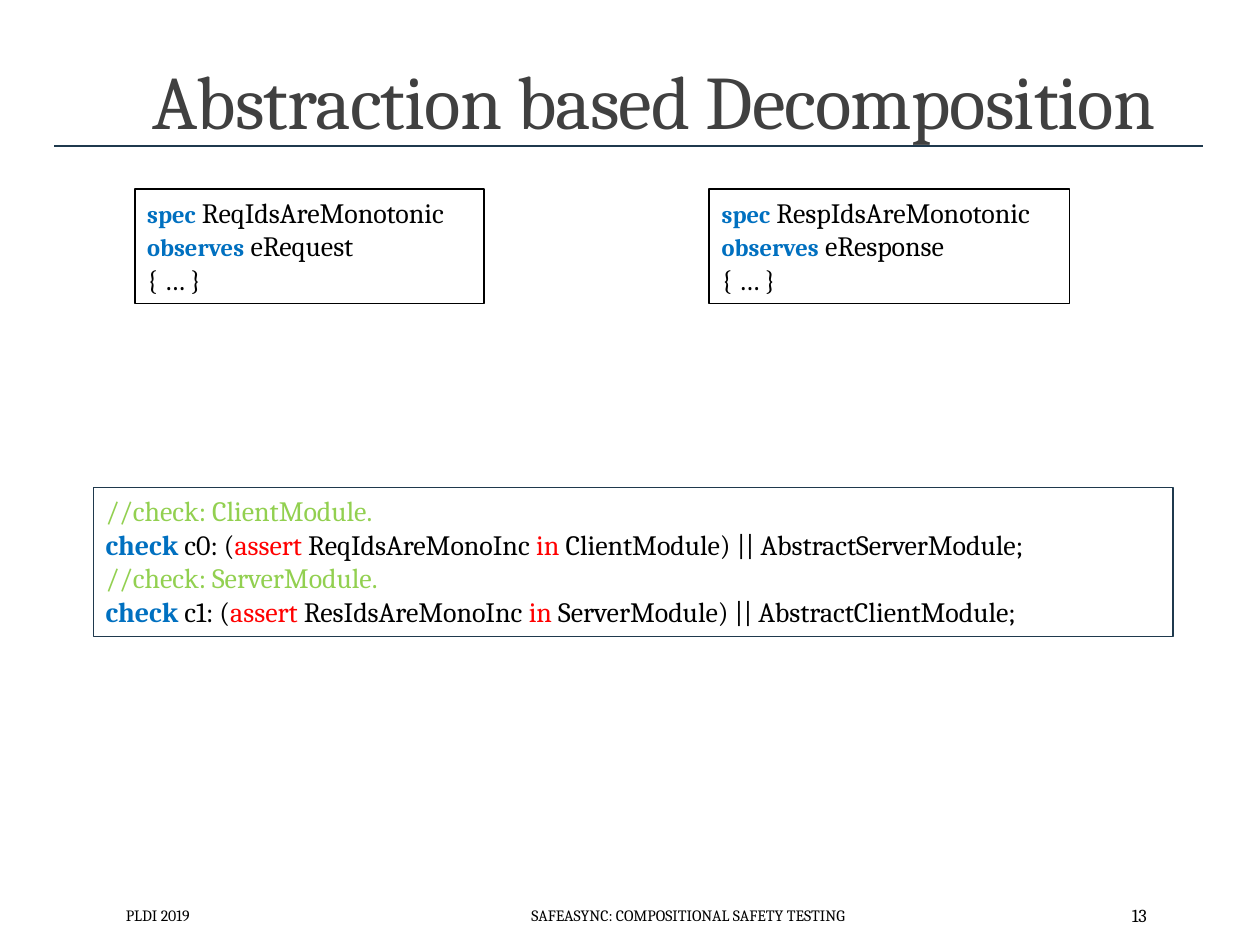
import pptx
import pptx.util
import pptx.dml.color
import pptx.enum.shapes
import pptx.enum.text
import lxml.etree

deck = pptx.Presentation()
deck.slide_width = pptx.util.Inches(10)
deck.slide_height = pptx.util.Inches(7.5)
slide = deck.slides.add_slide(deck.slide_layouts[6])

# One percent of the slide's width and height
COL = deck.slide_width / 100
ROW = deck.slide_height / 100

INK, NAVY, GREY = "000000", "1F394D", "404040"
BLUE, RED, GREEN = "0070C0", "FF0000", "92D050"
ALIGN = pptx.enum.text.PP_ALIGN
ANCHOR = pptx.enum.text.MSO_ANCHOR


def rgb(code):
    return pptx.dml.color.RGBColor.from_string(code)


def text(lines, at, size=16, align=ALIGN.LEFT, anchor=ANCHOR.MIDDLE,
         space=1, track=0, edge=None, width=1):
    """Each line is a list of runs: (words, colour, bold, size), the last two optional."""
    x, y, w, h = at
    place = [int(n) for n in (x * COL, y * ROW, w * COL, h * ROW)]
    if edge:
        box = slide.shapes.add_shape(pptx.enum.shapes.MSO_SHAPE.RECTANGLE, *place)
        box.shadow.inherit = False
        box.fill.background()
        box.line.color.rgb = rgb(edge)
        box.line.width = pptx.util.Pt(width)
    else:
        box = slide.shapes.add_textbox(*place)
    frame = box.text_frame
    frame.word_wrap = True
    frame.vertical_anchor = anchor
    for i, line in enumerate(lines):
        para = frame.paragraphs[0] if i == 0 else frame.add_paragraph()
        para.alignment = align
        para.line_spacing = space
        for words, ink, *rest in line:
            run = para.add_run()
            run.text = words
            font = run.font
            font.name = "Cambria"
            font.color.rgb = rgb(ink)
            font.bold = bool(rest and rest[0])
            font.size = pptx.util.Pt(rest[1] if len(rest) > 1 else size)
            if track:
                run._r.get_or_add_rPr().set("spc", str(int(track * 100)))


# Title and the rule under it
rule = slide.shapes.add_connector(
    pptx.enum.shapes.MSO_CONNECTOR.STRAIGHT,
    int(4.3 * COL), int(15.47 * ROW), int(95.5 * COL), int(15.47 * ROW))
rule.line.color.rgb = rgb(NAVY)
rule.line.width = pptx.util.Pt(1)
lxml.etree.SubElement(rule._element.spPr, pptx.oxml.ns.qn("a:effectLst"))
text([[("Abstraction based Decomposition", GREY)]], (8.5, 4.27, 86.8, 11.73),
     size=43.2, align=ALIGN.CENTER, anchor=ANCHOR.BOTTOM, space=0.85, track=-0.5)

# Specifications
for x, w, name, event in [(10.7, 27.7, "ReqIdsAreMonotonic", "eRequest"),
                          (56.3, 28.6, "RespIdsAreMonotonic", "eResponse")]:
    text([[("spec", BLUE, True, 14), (" " + name, INK)],
          [("observes", BLUE, True, 14), (" " + event, INK)],
          [("{ … }", INK)]],
         (x, 20, w, 12.13), anchor=ANCHOR.TOP, edge=INK)

# Checks, each under its comment
code = []
for i, (prop, unit, other) in enumerate([("ReqIds", "Client", "Server"),
                                         ("ResIds", "Server", "Client")]):
    code += [[(f"//check: {unit}Module.", GREEN)],
             [("check", BLUE, True), (f" c{i}: (", INK), ("assert ", RED),
              (f"{prop}AreMonoInc ", INK), ("in ", RED),
              (f"{unit}Module) || Abstract{other}Module;", INK)]]
text(code, (7.4, 51.6, 85.7, 15.73), anchor=ANCHOR.TOP, edge=NAVY, width=0.75)

# Footer
for words, x, w, size, align in [
        ("PLDI 2019", 9, 20.3, 9, ALIGN.LEFT),
        ("SAFEASYNC: COMPOSITIONAL SAFETY TESTING", 29.9, 49.4, 9, ALIGN.CENTER),
        ("13", 81.2, 10.8, 10.5, ALIGN.RIGHT)]:
    text([[(words, INK)]], (x, 94.13, w, 5.33), size=size, align=align)

deck.save("out.pptx")
